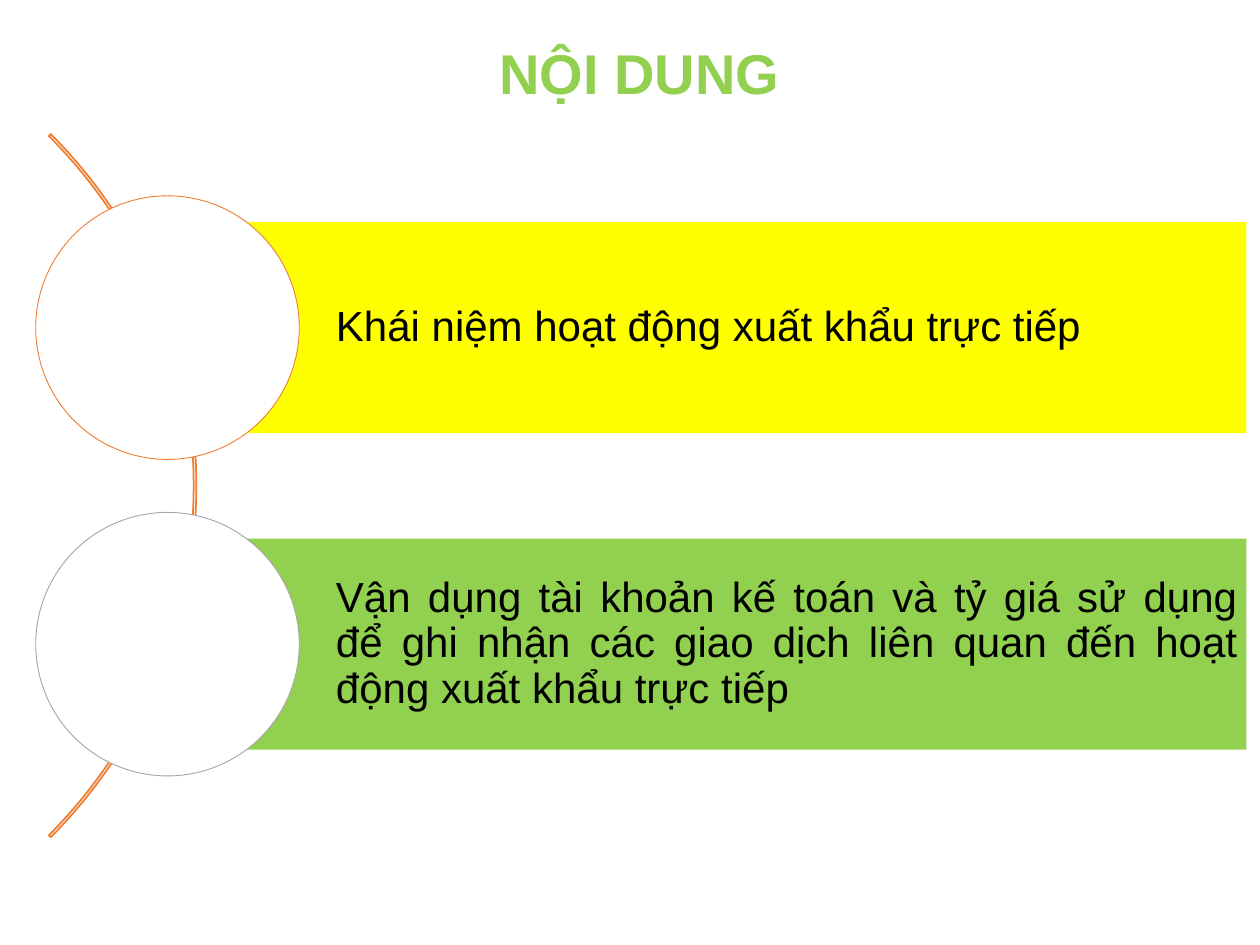
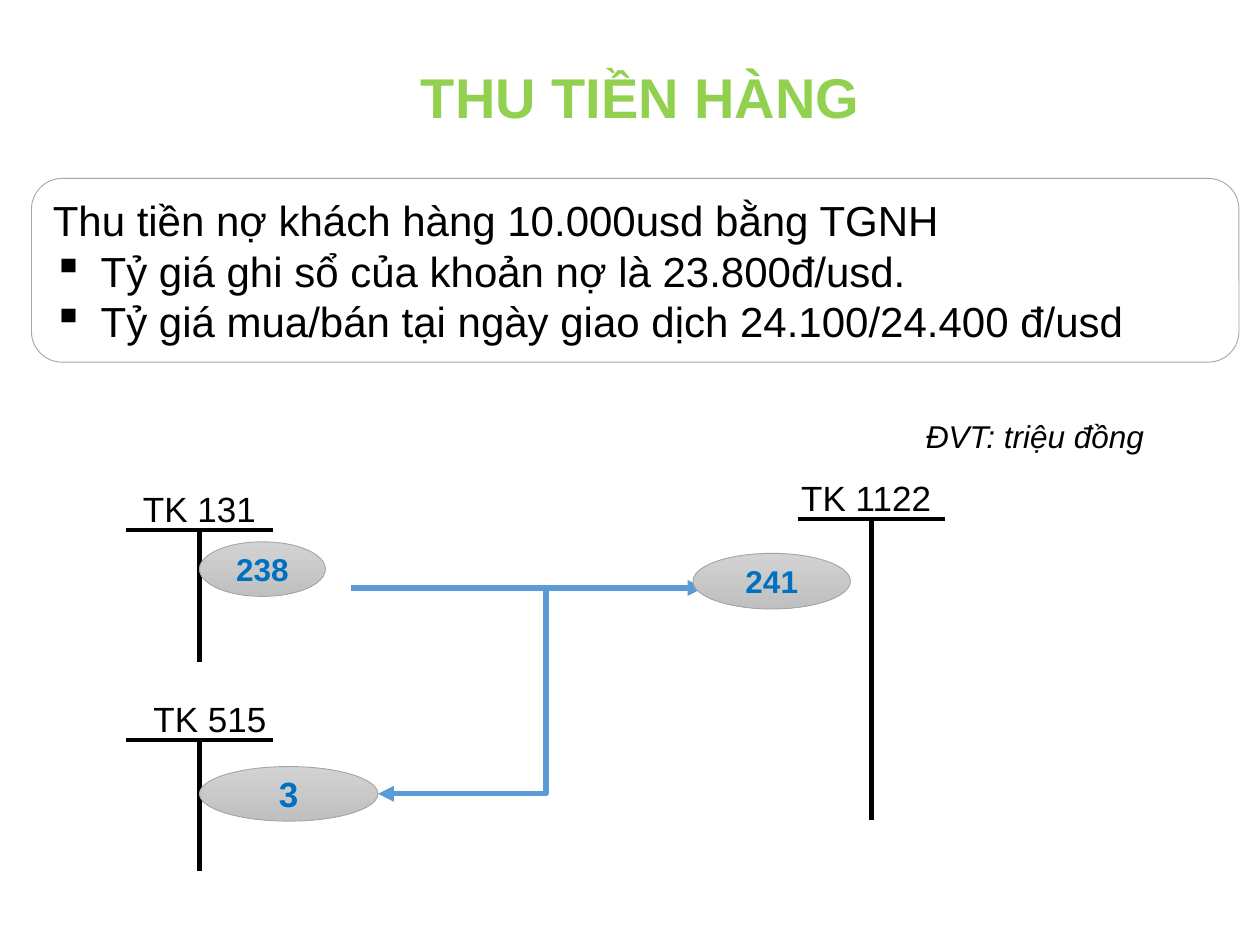
from pptx import Presentation
from pptx.dml.color import RGBColor
from pptx.enum.shapes import MSO_CONNECTOR, MSO_SHAPE
from pptx.enum.text import MSO_ANCHOR, PP_ALIGN
from pptx.oxml.ns import qn
from pptx.util import Emu, Inches, Pt
from lxml import etree

BLACK = RGBColor(0x00, 0x00, 0x00)
WHITE = RGBColor(0xFF, 0xFF, 0xFF)
GREEN = RGBColor(0x92, 0xD0, 0x50)
YELLOW = RGBColor(0xFF, 0xFF, 0x00)
ORANGE = RGBColor(0xED, 0x7D, 0x31)
GREY = RGBColor(0xA5, 0xA5, 0xA5)
BLUE = RGBColor(0x5B, 0x9B, 0xD5)
AMOUNT_BLUE = RGBColor(0x00, 0x70, 0xC0)
OVAL_TOP = RGBColor(0xD2, 0xD2, 0xD2)
OVAL_BOTTOM = RGBColor(0xC0, 0xC0, 0xC0)

RECTANGLE, ROUNDED = MSO_SHAPE.RECTANGLE, MSO_SHAPE.ROUNDED_RECTANGLE
OVAL, BLOCK_ARC = MSO_SHAPE.OVAL, MSO_SHAPE.BLOCK_ARC
STRAIGHT, ELBOW = MSO_CONNECTOR.STRAIGHT, MSO_CONNECTOR.ELBOW
MIDDLE = MSO_ANCHOR.MIDDLE
LEFT, CENTER, JUSTIFY = PP_ALIGN.LEFT, PP_ALIGN.CENTER, PP_ALIGN.JUSTIFY

FONT = "Arial"
SLIDE_WIDTH, SLIDE_HEIGHT = Inches(10), Inches(7.5)
GRID_COLUMNS = 120
TITLE_ONLY = 5

TOPICS = [
    ("Khái niệm hoạt động xuất khẩu trực tiếp", YELLOW, ORANGE),
    ("Vận dụng tài khoản kế toán và tỷ giá sử dụng để ghi nhận các giao dịch "
     "liên quan đến hoạt động xuất khẩu trực tiếp", GREEN, GREY),
]
CASE_HEADING = "Thu tiền nợ khách hàng 10.000usd bằng TGNH"
CASE_RATES = [
    "Tỷ giá ghi sổ của khoản nợ là 23.800đ/usd.",
    "Tỷ giá mua/bán tại ngày giao dịch 24.100/24.400 đ/usd",
]


def cells(*counts):
    """Convert grid cells to lengths."""
    return [Emu(round(count * SLIDE_WIDTH / GRID_COLUMNS)) for count in counts]


def write(paragraph, text, size, color=BLACK, align=LEFT, bold=False, italic=False):
    """Add one formatted run to a paragraph."""
    paragraph.alignment = align
    run = paragraph.add_run()
    run.text = text
    font = run.font
    font.name, font.size, font.bold, font.italic = FONT, Pt(size), bold, italic
    font.color.rgb = color


def add_titled_slide(deck, title_text, frame):
    """Add a title-only slide with the shared title style."""
    slide = deck.slides.add_slide(deck.slide_layouts[TITLE_ONLY])
    title = slide.shapes.title
    title.left, title.top, title.width, title.height = cells(*frame)
    title.text_frame.vertical_anchor = MIDDLE
    paragraph = title.text_frame.paragraphs[0]
    paragraph.line_spacing = 0.9
    write(paragraph, title_text, 32, GREEN, CENTER, bold=True)
    return slide


def add_figure(slide, kind, frame, fill=None, outline=None, weight=0.5):
    """Add a flat preset shape."""
    figure = slide.shapes.add_shape(kind, *cells(*frame))
    figure.shadow.inherit = False
    if fill is None:
        figure.fill.background()
    else:
        figure.fill.solid()
        figure.fill.fore_color.rgb = fill
    if outline is None:
        figure.line.fill.background()
    else:
        figure.line.color.rgb = outline
        figure.line.width = Pt(weight)
    figure.text_frame.vertical_anchor = MIDDLE
    return figure


def add_label(slide, text, frame, size, align=LEFT, italic=False):
    """Add a one-line text box."""
    label = slide.shapes.add_textbox(*cells(*frame))
    label.text_frame.word_wrap = True
    write(label.text_frame.paragraphs[0], text, size, align=align, italic=italic)


def add_line(slide, start, end, color, weight, kind=STRAIGHT, arrow=False):
    """Add a connector, with an arrowhead at its end if asked."""
    line = slide.shapes.add_connector(kind, *cells(*start, *end))
    line.line.color.rgb = color
    line.line.width = Pt(weight)
    properties = line._element.spPr
    etree.SubElement(properties, qn("a:effectLst"))
    if arrow:
        etree.SubElement(line.line._get_or_add_ln(), qn("a:tailEnd"), type="triangle")
    return properties


def add_down_left_arrow(slide, start, end):
    """Add an arrow that runs down and then left, as a quarter-turned elbow."""
    center_x, center_y = (start[0] + end[0]) / 2, (start[1] + end[1]) / 2
    half_run, half_drop = (start[0] - end[0]) / 2, (end[1] - start[1]) / 2
    properties = add_line(slide, (center_x - half_drop, center_y - half_run),
                          (center_x + half_drop, center_y + half_run),
                          BLUE, 3, ELBOW, arrow=True)
    properties.find(qn("a:xfrm")).set("rot", "5400000")
    properties.find(qn("a:prstGeom")).set("prst", "bentConnector2")


def add_topic(slide, center_y, text, band_color, ring_color):
    """Add a topic band with the circle over its left end."""
    band_height, diameter = 20.1, 25.1
    band = add_figure(slide, RECTANGLE,
                      (16, center_y - band_height / 2, 102.7, band_height), band_color)
    frame = band.text_frame
    frame.margin_left = cells(16)[0]
    frame.margin_top = frame.margin_right = frame.margin_bottom = Inches(0.07)
    paragraph = frame.paragraphs[0]
    paragraph.line_spacing = 0.9
    write(paragraph, text, 24, align=JUSTIFY)
    add_figure(slide, OVAL, (3.4, center_y - diameter / 2, diameter, diameter),
               WHITE, ring_color)


def add_case(slide, frame):
    """Add the rounded box with the case and its bulleted rates."""
    text_frame = add_figure(slide, ROUNDED, frame, WHITE, GREY).text_frame
    write(text_frame.paragraphs[0], CASE_HEADING, 24, align=JUSTIFY)
    indent = Inches(0.38)
    for rate in CASE_RATES:
        paragraph = text_frame.add_paragraph()
        properties = paragraph._p.get_or_add_pPr()
        properties.set("marL", str(indent))
        properties.set("indent", str(-indent))
        etree.SubElement(properties, qn("a:buChar"), char="▪")
        write(paragraph, rate, 24, align=JUSTIFY)


def add_t_account(slide, name, stem_x, bar_y, stem_end, name_shift=0):
    """Add a T account with its name above the bar."""
    half_bar, name_width = 7, 24
    add_line(slide, (stem_x, bar_y), (stem_x, stem_end), BLACK, 2.75)
    add_label(slide, name, (stem_x + name_shift - name_width / 2, bar_y - 4.65,
                            name_width, 5.3), 20, CENTER)
    add_line(slide, (stem_x - half_bar, bar_y), (stem_x + half_bar, bar_y), BLACK, 2.25)


def add_amount(slide, amount, frame, size=18):
    """Add an amount in a shaded oval."""
    oval = add_figure(slide, OVAL, frame, WHITE, GREY)
    oval.fill.gradient()
    oval.fill.gradient_angle = 270
    for stop, color in zip(oval.fill.gradient_stops, (OVAL_TOP, OVAL_BOTTOM)):
        stop.color.rgb = color
    write(oval.text_frame.paragraphs[0], amount, size, AMOUNT_BLUE, CENTER, bold=True)


def build_contents(deck):
    """Build the contents slide."""
    slide = add_titled_slide(deck, "NỘI DUNG", (10, 3.4, 101.8, 7.7))
    arc = add_figure(slide, BLOCK_ARC, (-76, -1.1, 94.7, 94.7), outline=ORANGE, weight=1)
    arc.adjustments[0], arc.adjustments[1], arc.adjustments[2] = 189, 27, 0.0027
    for index, topic in enumerate(TOPICS):
        add_topic(slide, 31.2 + 30.15 * index, *topic)


def build_collection(deck):
    """Build the slide on collecting the receivable."""
    slide = add_titled_slide(deck, "THU TIỀN HÀNG", (10, 4.2, 102, 10.8))
    add_case(slide, (3, 17, 115, 17.5))
    add_line(slide, (33.4, 56), (67, 56), BLUE, 3, arrow=True)
    add_t_account(slide, "TK 1122", 83, 49.4, 78.1, name_shift=-0.5)
    add_t_account(slide, "TK 131", 19, 50.5, 63)
    add_t_account(slide, "TK 515", 19, 70.45, 83, name_shift=1)
    add_amount(slide, "241", (66, 52.7, 15, 5.3))
    add_amount(slide, "238", (19, 51.6, 12, 5.2))
    add_amount(slide, "3", (19, 73, 17, 5.2), size=20)
    add_label(slide, "ĐVT: triệu đồng", (87, 39.1, 27, 4.8), 18, italic=True)
    add_down_left_arrow(slide, (52, 56), (36, 75.6))


def main():
    """Build and save the presentation."""
    deck = Presentation()
    deck.slide_width, deck.slide_height = SLIDE_WIDTH, SLIDE_HEIGHT
    build_contents(deck)
    build_collection(deck)
    deck.save("out.pptx")


if __name__ == "__main__":
    main()
